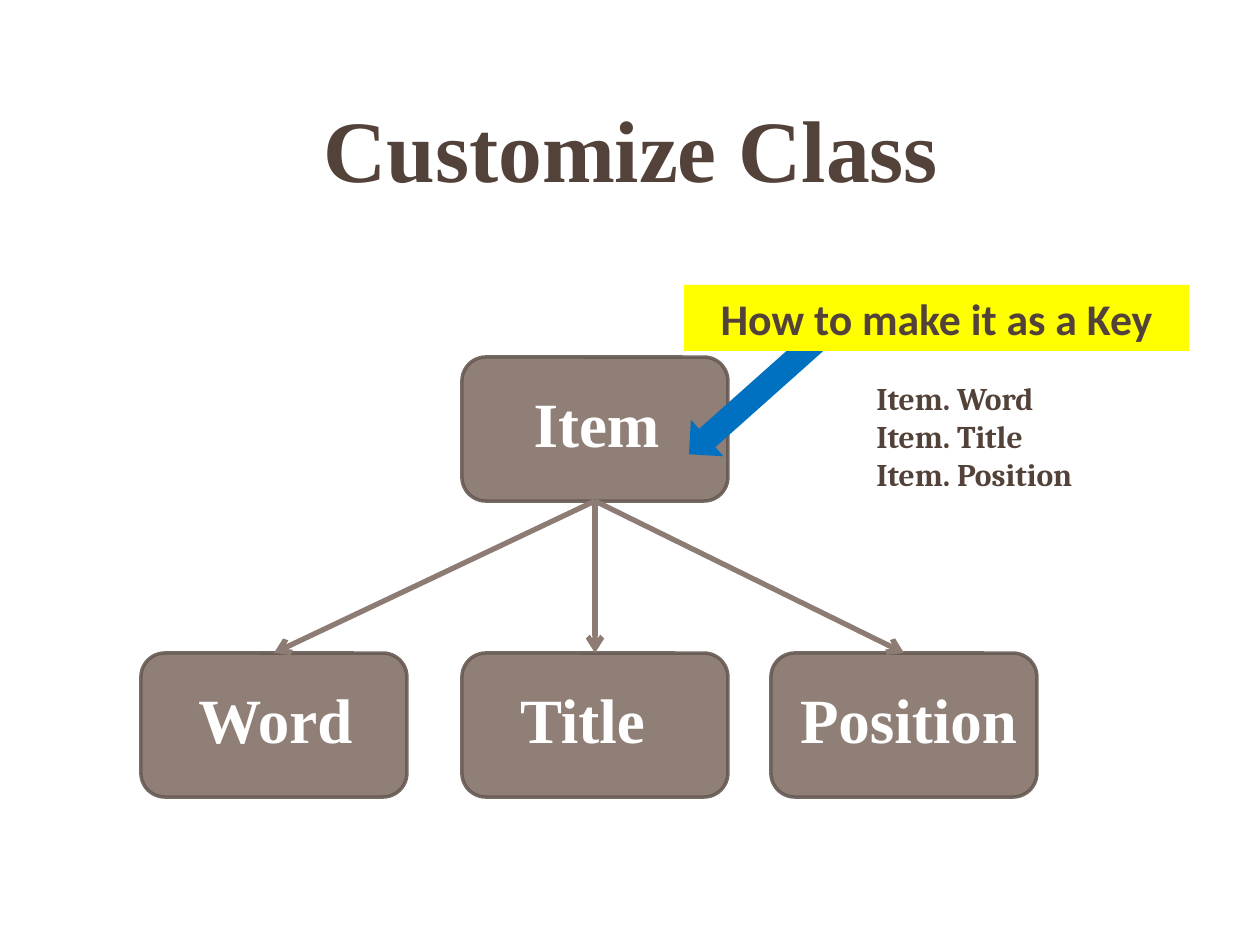
from dataclasses import dataclass

from pptx import Presentation
from pptx.dml.color import RGBColor
from pptx.enum.shapes import MSO_CONNECTOR as Connector, MSO_SHAPE as Preset
from pptx.enum.text import MSO_ANCHOR as Anchor, PP_ALIGN as Align
from pptx.oxml.ns import qn
from pptx.oxml.xmlchemy import OxmlElement
from pptx.util import Emu, Pt

PX_PER_INCH = 126
BROWN, TAUPE, OUTLINE, LINK = "534239", "907F76", "665A53", "8D7C73"
WHITE, YELLOW, BLUE = "FFFFFF", "FFFF00", "0070C0"
SERIF = "Times New Roman"
NODE_WIDTH, NODE_HEIGHT, LABEL_HEIGHT = 266, 144, 89


@dataclass(frozen=True)
class Node:
    text: str
    left: int
    top: int
    label_left: int
    label_width: int = 241


ITEM = Node("Item", 462, 357, 476)
FIELDS = [
    Node("Word", 141, 653, 155),
    Node("Title", 462, 653, 462),
    Node("Position", 771, 653, 766, 285),
]


def px(length: int) -> Emu:
    return Emu(round(length * 914400 / PX_PER_INCH))


def rgb(value: str) -> RGBColor:
    return RGBColor.from_string(value)


def write(shape, text: str, *, size: int, font: str = SERIF, color: str = BROWN,
          align: Align = Align.CENTER, anchor: Anchor = Anchor.TOP) -> None:
    frame = shape.text_frame
    frame.word_wrap = True
    frame.vertical_anchor = anchor
    frame.text = text
    for paragraph in frame.paragraphs:
        paragraph.alignment = align
        for run in paragraph.runs:
            run.font.name, run.font.size, run.font.bold = font, Pt(size), True
            run.font.color.rgb = rgb(color)


def add_box(slide, preset: Preset, left: int, top: int, width: int, height: int, fill: str):
    box = slide.shapes.add_shape(preset, px(left), px(top), px(width), px(height))
    box.shadow.inherit = False
    box.fill.solid()
    box.fill.fore_color.rgb = rgb(fill)
    box.line.fill.background()
    return box


def add_text(slide, text: str, left: int, top: int, width: int, height: int, **style) -> None:
    write(slide.shapes.add_textbox(px(left), px(top), px(width), px(height)), text, **style)


def add_node(slide, node: Node):
    box = add_box(slide, Preset.ROUNDED_RECTANGLE, node.left, node.top,
                  NODE_WIDTH, NODE_HEIGHT, TAUPE)
    box.line.color.rgb = rgb(OUTLINE)
    box.line.width = Pt(2)
    # Slightly transparent outline
    alpha = OxmlElement("a:alpha")
    alpha.set("val", "90000")
    box.line._get_or_add_ln().find(".//" + qn("a:srgbClr")).append(alpha)
    add_text(slide, node.text, node.label_left, node.top + 21,
             node.label_width, LABEL_HEIGHT, size=36, color=WHITE)
    return box


def add_link(slide, parent, child) -> None:
    link = slide.shapes.add_connector(Connector.STRAIGHT, 0, 0, 0, 0)
    link.begin_connect(parent, 2)
    link.end_connect(child, 0)
    link.line.color.rgb = rgb(LINK)
    link.line.width = Pt(3)
    arrowhead = OxmlElement("a:tailEnd")
    arrowhead.set("type", "arrow")
    link.line._get_or_add_ln().append(arrowhead)
    link._element.spPr.append(OxmlElement("a:effectLst"))


def main() -> None:
    deck = Presentation()
    deck.slide_width, deck.slide_height = px(1260), px(945)
    slide = deck.slides.add_slide(deck.slide_layouts[5])

    # Title
    title = slide.shapes.title
    title.left, title.top, title.width, title.height = px(111), px(53), px(1040), px(189)
    write(title, "Customize Class", size=50, anchor=Anchor.MIDDLE)

    # Class and its fields
    fields = [add_node(slide, field) for field in FIELDS]
    item = add_node(slide, ITEM)
    for field in fields:
        add_link(slide, item, field)

    # Callout pointing at the class
    pointer = add_box(slide, Preset.LEFT_ARROW, 662, 359, 213, 49, BLUE)
    pointer.rotation = 318.3
    question = add_box(slide, Preset.RECTANGLE, 684, 285, 505, 66, YELLOW)
    write(question, "How to make it as a Key", size=25, font="Calibri", anchor=Anchor.MIDDLE)

    # Field access
    add_text(slide, "Item. Word\nItem. Title\nItem. Position", 864, 373, 319, 127,
             size=18, font="Cambria", align=Align.LEFT)

    deck.save("out.pptx")


if __name__ == "__main__":
    main()
